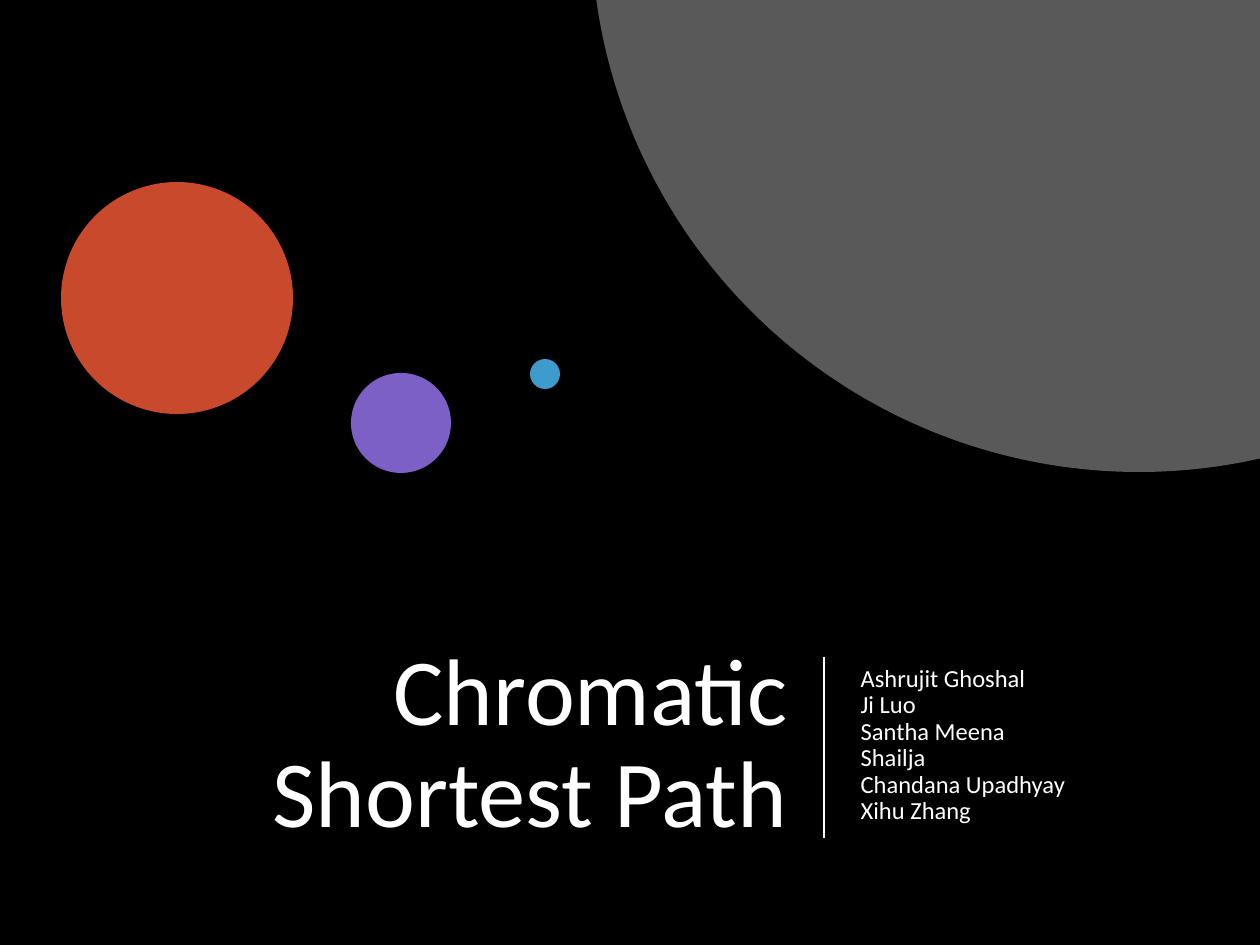
from dataclasses import dataclass
from math import acos, asin, cos, pi, sin

from lxml import etree
from pptx import Presentation
from pptx.dml.color import RGBColor as RGB
from pptx.enum.shapes import MSO_CONNECTOR as CONN, MSO_SHAPE as SHAPE
from pptx.enum.text import MSO_ANCHOR as ANCHOR, MSO_AUTO_SIZE as AUTO, PP_ALIGN as ALIGN
from pptx.oxml.ns import qn
from pptx.util import Pt

PX = 914400 / 126
WIDTH, HEIGHT = 1260, 945


@dataclass(frozen=True)
class Theme:
    font: str = "Calibri"
    back: RGB = RGB(0x00, 0x00, 0x00)
    text: RGB = RGB(0xFF, 0xFF, 0xFF)
    orange: RGB = RGB(0xC9, 0x49, 0x2C)
    purple: RGB = RGB(0x7C, 0x60, 0xC6)
    blue: RGB = RGB(0x3D, 0x9C, 0xCC)
    gray: RGB = RGB(0x59, 0x59, 0x59)
    title_pt: int = 54
    names_pt: int = 14
    rule_pt: float = 1.5


@dataclass(frozen=True)
class Circle:
    cx: int
    cy: int
    r: int
    color: RGB


T = Theme()
CIRCLES = [
    Circle(177, 298, 116, T.orange),
    Circle(401, 423, 50, T.purple),
    Circle(545, 374, 15, T.blue),
]
BIG_CIRCLE = Circle(1139, -76, 548, T.gray)
ARC_STEPS = 120
NAMES = ["Ashrujit Ghoshal", "Ji Luo", "Santha Meena", "Shailja",
         "Chandana Upadhyay", "Xihu Zhang"]


def emu(px: float) -> int:
    return round(px * PX)


def paint(sp, color: RGB) -> None:
    sp.shadow.inherit = False
    sp.fill.solid()
    sp.fill.fore_color.rgb = color
    sp.line.fill.background()


def draw_circle(s, c: Circle) -> None:
    box = (c.cx - c.r, c.cy - c.r, 2 * c.r, 2 * c.r)
    paint(s.shapes.add_shape(SHAPE.OVAL, *map(emu, box)), c.color)


def draw_corner_circle(s, c: Circle) -> None:
    """Draw the part of a circle that lies inside the top right slide corner."""
    start = acos((WIDTH - c.cx) / c.r)
    end = pi - asin(-c.cy / c.r)
    angles = [start + (end - start) * i / ARC_STEPS for i in range(ARC_STEPS + 1)]
    arc = [(emu(c.cx + c.r * cos(a)), emu(c.cy + c.r * sin(a))) for a in angles]
    fb = s.shapes.build_freeform(emu(WIDTH), 0)
    fb.add_line_segments(arc, close=True)
    paint(fb.convert_to_shape(), c.color)


def fill_text(sp, box: tuple[int, int, int, int], lines: list[str],
              size: int, align: ALIGN, before: int = 0) -> None:
    sp.left, sp.top, sp.width, sp.height = map(emu, box)
    tf = sp.text_frame
    tf.word_wrap = True
    tf.auto_size = AUTO.NONE
    tf.vertical_anchor = ANCHOR.MIDDLE
    p = tf.paragraphs[0]
    p.alignment = align
    p.line_spacing = 0.9
    p.space_before = Pt(before)
    for i, line in enumerate(lines):
        if i:
            p.add_line_break()
        r = p.add_run()
        r.text = line
        r.font.name = T.font
        r.font.size = Pt(size)
        r.font.color.rgb = T.text


def draw_divider(s, x: int, top: int, bottom: int) -> None:
    line = s.shapes.add_connector(CONN.STRAIGHT, *map(emu, (x, top, x, bottom)))
    line.line.color.rgb = T.text
    line.line.width = Pt(T.rule_pt)
    etree.SubElement(line._element.spPr, qn("a:effectLst"))


def main() -> None:
    prs = Presentation()
    prs.slide_width, prs.slide_height = emu(WIDTH), emu(HEIGHT)
    s = prs.slides.add_slide(prs.slide_layouts[0])
    s.background.fill.solid()
    s.background.fill.fore_color.rgb = T.back

    fill_text(s.shapes.title, (87, 627, 713, 237), ["Chromatic Shortest Path"],
              T.title_pt, ALIGN.RIGHT)
    fill_text(s.placeholders[1], (848, 627, 349, 237), NAMES,
              T.names_pt, ALIGN.LEFT, before=10)
    for c in CIRCLES:
        draw_circle(s, c)
    draw_corner_circle(s, BIG_CIRCLE)
    draw_divider(s, 824, 657, 838)
    prs.save("out.pptx")


if __name__ == "__main__":
    main()
